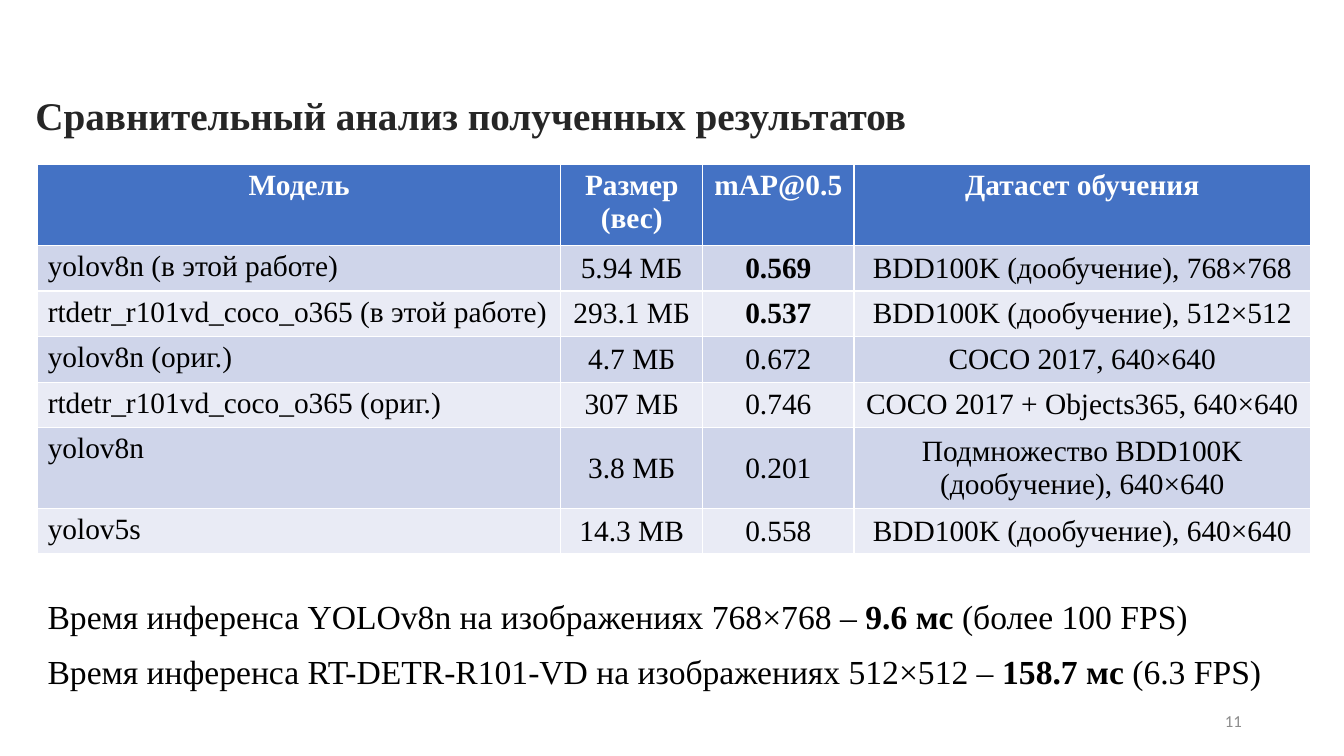
from pptx import Presentation
from pptx import util as u
from pptx.dml.color import RGBColor
from pptx.enum import text

WHITE = RGBColor(0xFF, 0xFF, 0xFF)
BLACK = RGBColor(0x00, 0x00, 0x00)
CHARCOAL = RGBColor(0x26, 0x26, 0x26)
GREY = RGBColor(0x8C, 0x8C, 0x8C)
HEADER_BLUE = RGBColor(0x44, 0x72, 0xC4)
BANDS = [RGBColor(0xCF, 0xD5, 0xEA), RGBColor(0xE9, 0xEB, 0xF5)]

LEFT, CENTER, RIGHT = text.PP_ALIGN.LEFT, text.PP_ALIGN.CENTER, text.PP_ALIGN.RIGHT
TOP, MIDDLE = text.MSO_ANCHOR.TOP, text.MSO_ANCHOR.MIDDLE

COLUMN_WIDTHS = [13.18, 3.58, 3.81, 11.51]
ROW_HEIGHTS = [2.02, 1.15, 1.15, 1.15, 1.15, 2.02, 1.15]
MODELS = [
    ("Модель", "Размер (вес)", "mAP@0.5", "Датасет обучения"),
    ("yolov8n (в этой работе)", "5.94 МБ", "0.569", "BDD100K (дообучение), 768×768"),
    ("rtdetr_r101vd_coco_o365 (в этой работе)", "293.1 МБ", "0.537",
     "BDD100K (дообучение), 512×512"),
    ("yolov8n (ориг.)", "4.7 МБ", "0.672", "COCO 2017, 640×640"),
    ("rtdetr_r101vd_coco_o365 (ориг.)", "307 МБ", "0.746", "COCO 2017 + Objects365, 640×640"),
    ("yolov8n", "3.8 МБ", "0.201", "Подмножество BDD100K (дообучение), 640×640"),
    ("yolov5s", "14.3 MB", "0.558", "BDD100K (дообучение), 640×640"),
]
OWN_RESULTS = {(1, 2), (2, 2)}
TIMINGS = [
    ("Время инференса YOLOv8n на изображениях 768×768 – ", "9.6 мс ", "(более 100 FPS)"),
    ("Время инференса RT-DETR-R101-VD на изображениях 512×512 – ", "158.7 мс ", "(6.3 FPS)"),
]


class SlideWriter:
    def __init__(self, page, font="Times New Roman"):
        self.page = page
        self.font = font

    def style(self, para, size, color, align=LEFT, bold=None, font=None):
        para.alignment = align
        para.font.name = font or self.font
        para.font.size = u.Pt(size)
        para.font.color.rgb = color
        para.font.bold = bold

    def frame(self, left, top, width, height, anchor=TOP):
        box = self.page.shapes.add_textbox(u.Cm(left), u.Cm(top), u.Cm(width), u.Cm(height))
        box.text_frame.word_wrap = True
        box.text_frame.vertical_anchor = anchor
        return box.text_frame

    def line(self, place, words, anchor=TOP, **look):
        para = self.frame(*place, anchor).paragraphs[0]
        para.text = words
        self.style(para, **look)

    def timings(self, place, lines):
        frame = self.frame(*place)
        for index, (lead, time, rate) in enumerate(lines):
            para = frame.add_paragraph() if index else frame.paragraphs[0]
            self.style(para, 24, BLACK)
            para.line_spacing = 1.07
            para.space_after = u.Pt(8)
            for words, bold in ((lead, None), (time, True), (rate, None)):
                span = para.add_run()
                span.text = words
                span.font.bold = bold

    def table(self, left, top, rows, widths, heights, emphasized):
        grid = self.page.shapes.add_table(
            len(rows), len(widths), u.Cm(left), u.Cm(top),
            u.Cm(sum(widths)), u.Cm(sum(heights))).table
        for column, width in zip(grid.columns, widths):
            column.width = u.Cm(width)
        for r, (row, height) in enumerate(zip(rows, heights)):
            grid.rows[r].height = u.Cm(height)
            for c, words in enumerate(row):
                header = r == 0
                cell = grid.cell(r, c)
                cell.fill.solid()
                cell.fill.fore_color.rgb = HEADER_BLUE if header else BANDS[(r - 1) % 2]
                cell.vertical_anchor = TOP if header or c == 0 else MIDDLE
                cell.text = words
                self.style(cell.text_frame.paragraphs[0], 21, WHITE if header else BLACK,
                           CENTER if header or c else LEFT, header or (r, c) in emphasized)


def main():
    deck = Presentation()
    deck.slide_width, deck.slide_height = u.Cm(33.87), u.Cm(19.05)
    writer = SlideWriter(deck.slides.add_slide(deck.slide_layouts[6]))
    writer.line((0.64, 2.18, 27.97, 1.45), "Сравнительный анализ полученных результатов",
                size=28, color=CHARCOAL, bold=True)
    writer.line((23.93, 17.65, 7.62, 1.02), "11", MIDDLE,
                size=12, color=GREY, align=RIGHT, font="Calibri")
    writer.table(0.95, 4.15, MODELS, COLUMN_WIDTHS, ROW_HEIGHTS, OWN_RESULTS)
    writer.timings((0.95, 14.83, 31.52, 2.59), TIMINGS)
    deck.save("out.pptx")


if __name__ == "__main__":
    main()
